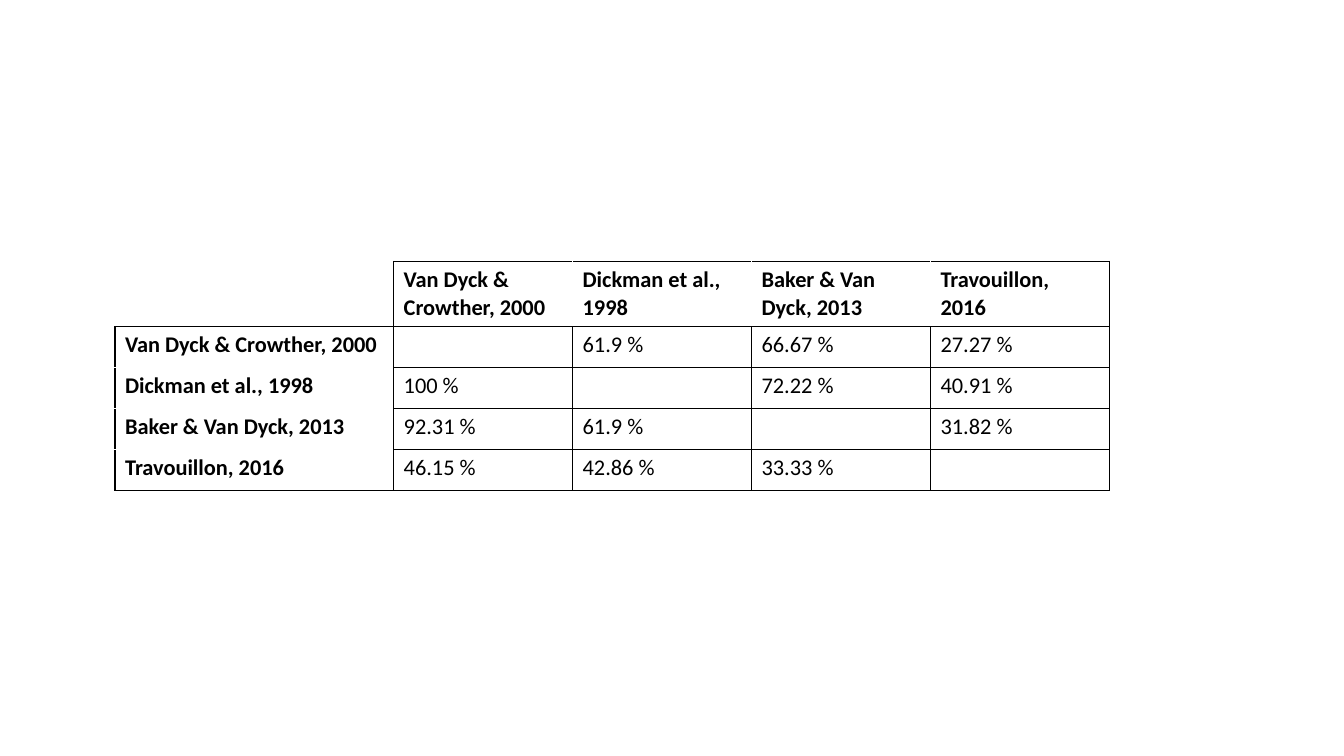
from pptx import Presentation
from pptx.dml.color import RGBColor
from pptx.oxml.ns import qn
from pptx.util import Cm, Pt
from lxml.etree import SubElement

# Content: share of characters (row study against column study)
STUDIES = ["Van Dyck & Crowther, 2000", "Dickman et al., 1998",
           "Baker & Van Dyck, 2013", "Travouillon, 2016"]
SHARES = [
    ["", "61.9 %", "66.67 %", "27.27 %"],
    ["100 %", "", "72.22 %", "40.91 %"],
    ["92.31 %", "61.9 %", "", "31.82 %"],
    ["46.15 %", "42.86 %", "33.33 %", ""],
]
ROWS = [["", *STUDIES]] + [[study, *shares] for study, shares in zip(STUDIES, SHARES)]

BLACK, WHITE = "000000", "FFFFFF"
LABEL_WIDTH, SHARE_WIDTH = Cm(7.02), Cm(4.51)
HEADER_HEIGHT, SHARE_HEIGHT = Cm(1.64), Cm(1.03)
LAST = len(STUDIES)


def color(hex_string):
    return RGBColor.from_string(hex_string)


def border_colors(row, column):
    """Black grid, with white rules between neighbouring study names."""
    if row == column == 0:
        return {"R": BLACK, "B": BLACK}
    borders = dict.fromkeys("LRTB", BLACK)
    if row == 0:
        if column > 1:
            borders["L"] = WHITE
        if column < LAST:
            borders["R"] = WHITE
    if column == 0:
        if row > 1:
            borders["T"] = WHITE
        if row < LAST:
            borders["B"] = WHITE
    return borders


def draw_borders(cell, borders):
    properties = cell._tc.get_or_add_tcPr()
    for side, hex_string in borders.items():
        line = SubElement(properties, qn(f"a:ln{side}"), w=str(Pt(1)))
        fill = SubElement(line, qn("a:solidFill"))
        SubElement(fill, qn("a:srgbClr"), val=hex_string)


prs = Presentation()
prs.slide_width, prs.slide_height = Cm(33.87), Cm(19.05)
slide = prs.slides.add_slide(prs.slide_layouts[6])

# Comparison table
comparison = slide.shapes.add_table(
    len(ROWS), len(ROWS[0]), Cm(2.9), Cm(6.59),
    LABEL_WIDTH + LAST * SHARE_WIDTH, HEADER_HEIGHT + LAST * SHARE_HEIGHT).table
comparison.first_row = comparison.horz_banding = False
for index in range(LAST + 1):
    comparison.columns[index].width = SHARE_WIDTH if index else LABEL_WIDTH
    comparison.rows[index].height = SHARE_HEIGHT if index else HEADER_HEIGHT

# Cells
for row, texts in enumerate(ROWS):
    for column, text in enumerate(texts):
        cell = comparison.cell(row, column)
        draw_borders(cell, border_colors(row, column))
        cell.fill.solid()
        cell.fill.fore_color.rgb = color(WHITE)
        if text:
            run = cell.text_frame.paragraphs[0].add_run()
            run.text = text
            run.font.name = "Calibri"
            run.font.size = Pt(16)
            run.font.bold = row == 0 or column == 0
            run.font.color.rgb = color(BLACK)

prs.save("out.pptx")
